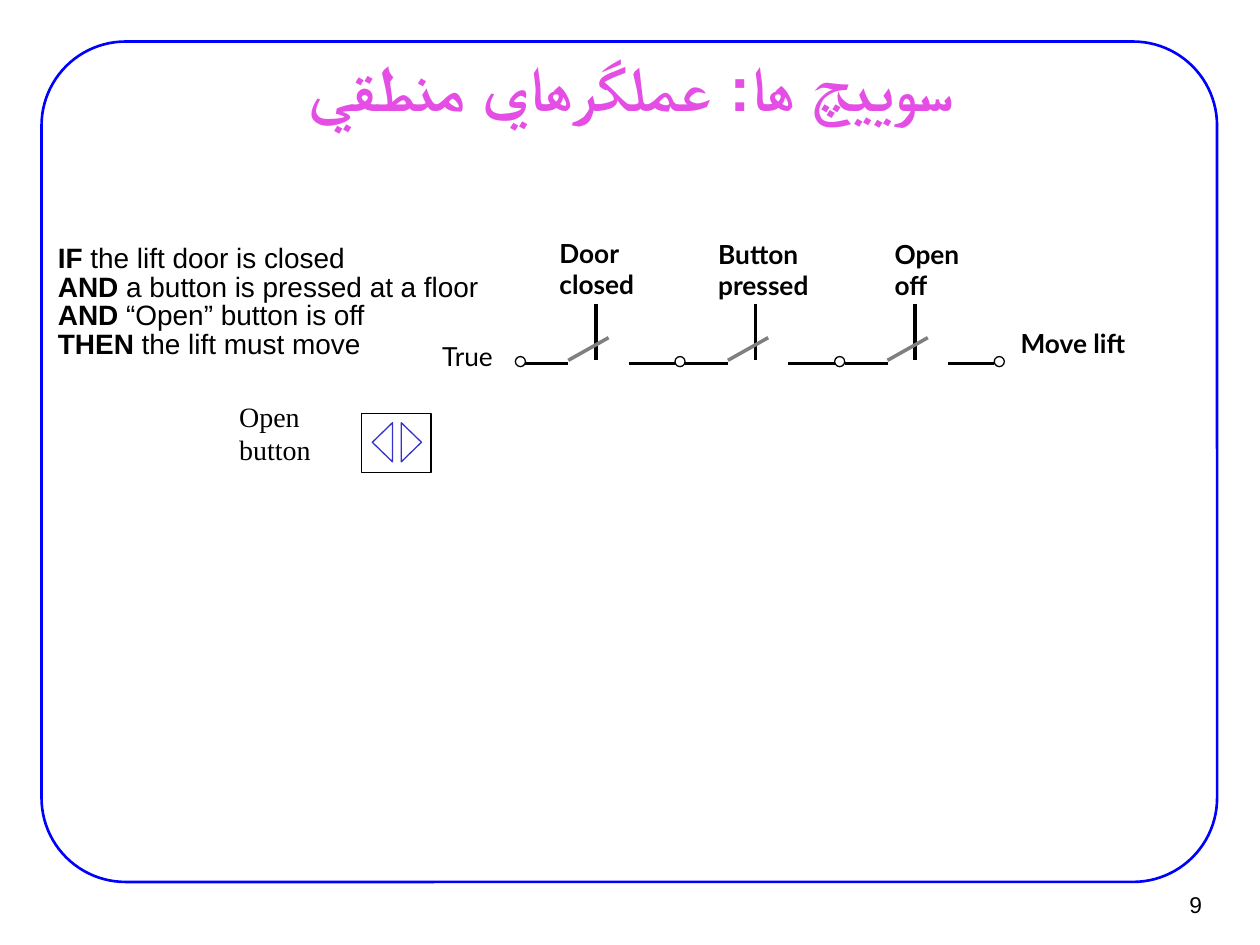
from lxml.etree import SubElement
from pptx import Presentation
from pptx.dml.color import RGBColor
from pptx.enum.shapes import MSO_CONNECTOR, MSO_SHAPE
from pptx.enum.text import MSO_ANCHOR, MSO_AUTO_SIZE, PP_ALIGN
from pptx.oxml.ns import qn
from pptx.util import Inches, Pt

BLACK = RGBColor(0x00, 0x00, 0x00)
WHITE = RGBColor(0xFF, 0xFF, 0xFF)
GRAY = RGBColor(0x7F, 0x7F, 0x7F)
BLUE = RGBColor(0x00, 0x00, 0xFF)
INDIGO = RGBColor(0x33, 0x33, 0xCC)
PINK = RGBColor(0xE4, 0x4E, 0xE4)

presentation = Presentation()
presentation.slide_width = Inches(10)
presentation.slide_height = Inches(7.5)
slide = presentation.slides.add_slide(presentation.slide_layouts[5])
CELL = presentation.slide_width / 100  # the slide is 100 columns by 75 rows


def grid(*cells):
    return [round(cell * CELL) for cell in cells]


def add_text(place, lines, font_name, size, wrap=False, margin=(0, 0)):
    """Add a text box; each line is a list of (text, bold) runs."""
    frame = slide.shapes.add_textbox(*grid(*place)).text_frame
    frame.word_wrap = wrap
    frame.auto_size = MSO_AUTO_SIZE.SHAPE_TO_FIT_TEXT
    frame.margin_left = frame.margin_right = Inches(margin[0])
    frame.margin_top = frame.margin_bottom = Inches(margin[1])
    for number, line in enumerate(lines):
        paragraph = frame.add_paragraph() if number else frame.paragraphs[0]
        for text, bold in line:
            run = paragraph.add_run()
            run.text = text
            run.font.bold = bold
        paragraph.font.name = font_name
        paragraph.font.size = Pt(size)
        paragraph.font.color.rgb = BLACK
    return frame


# Title
title = slide.shapes.title
title.left, title.top, title.width, title.height = grid(7.6, 4.4, 85, 4.9)
frame = title.text_frame
frame.text = "سوييچ ها: عملگرهاي منطقي"
frame.auto_size = MSO_AUTO_SIZE.NONE
frame.vertical_anchor = MSO_ANCHOR.MIDDLE
paragraph = frame.paragraphs[0]
paragraph.alignment = PP_ALIGN.CENTER
paragraph._p.get_or_add_pPr().set("rtl", "1")
font = paragraph.runs[0].font
font.name = "Arial"
font.size = Pt(36)
font.bold = True
font.color.rgb = PINK
SubElement(font._element, qn("a:cs")).set("typeface", "Arial")

# Slide number
frame = add_text((90.2, 69.9, 6.1, 3.7), [[("9", False)]], "Arial", 13,
                 wrap=True, margin=(0.09, 0.04))
frame.vertical_anchor = MSO_ANCHOR.MIDDLE
frame.paragraphs[0].alignment = PP_ALIGN.RIGHT

# Rule in words
rule = [
    [("IF", True), (" the lift door is closed", False)],
    [("AND", True), (" a button is pressed at a floor", False)],
    [("AND", True), (" “Open” button is off", False)],
    [("THEN", True), (" the lift must move", False)],
]
for paragraph in add_text((4.6, 19.5, 33.5, 9.1), rule, "Arial", 16).paragraphs:
    paragraph.line_spacing = 0.85

# Circuit labels
add_text((35.1, 27, 5.6, 3.1), [[("True", False)]], "Lato", 15)
add_text((81, 26, 8.5, 2.5), [[("Move lift", True)]], "Lato", 15)
add_text((18, 31.2, 8.6, 6.4), [[("Open button", False)]],
         "Times New Roman", 16, wrap=True, margin=(0.1, 0.05))

# Three switches in series: wires, levers and stems
FIRST_TERMINAL, PITCH = 40.9, 12.67
WIRE_ROW, CONTACT_ROW = 28.85, 28.6
switches = [
    (["Door", "closed"], 44.4, 18.8, 6.7),
    (["Button", "pressed"], 57, 18.9, 8.1),
    (["Open", "off"], 71, 18.9, 5.4),
]
for number, (words, label_left, label_top, label_width) in enumerate(switches):
    add_text((label_left, label_top, label_width, 5.1),
             [[(word, True)] for word in words], "Lato", 15)
    left = FIRST_TERMINAL + number * PITCH
    segments = [
        (left + 0.8, WIRE_ROW, left + 4.2, WIRE_ROW, BLACK),
        (left + 9, WIRE_ROW, left + PITCH, WIRE_ROW, BLACK),
        (left + 6.4, 24.1, left + 6.4, CONTACT_ROW, BLACK),
        (left + 4.2, CONTACT_ROW, left + 7.4, 26.8, GRAY),
    ]
    for *ends, color in segments:
        line = slide.shapes.add_connector(MSO_CONNECTOR.STRAIGHT, *grid(*ends))
        line.line.color.rgb = color
        line.line.width = Pt(0)
        SubElement(line._element.spPr, qn("a:effectLst"))

# Frame, terminals and the open button: kind, place, rotation, fill, line, width
shapes = [
    (MSO_SHAPE.ROUNDED_RECTANGLE, (3.3, 3.3, 93.3, 66.7), 0, None, BLUE, 1.5),
    (MSO_SHAPE.RECTANGLE, (28.7, 32.8, 5.5, 4.7), 0, None, BLACK, 0.75),
    (MSO_SHAPE.ISOSCELES_TRIANGLE, (31.1, 34.3, 3.1, 1.6), 90, None, INDIGO, 0.75),
    (MSO_SHAPE.ISOSCELES_TRIANGLE, (28.8, 34.3, 3.1, 1.6), 270, None, INDIGO, 0.75),
]
for number in range(len(switches) + 1):
    place = (FIRST_TERMINAL + number * PITCH, 28.3, 0.8, 0.8)
    shapes.append((MSO_SHAPE.OVAL, place, 0, WHITE, BLACK, 0))
for kind, place, rotation, fill, color, width in shapes:
    shape = slide.shapes.add_shape(kind, *grid(*place))
    shape.shadow.inherit = False
    shape.rotation = rotation
    if fill is None:
        shape.fill.background()
    else:
        shape.fill.solid()
        shape.fill.fore_color.rgb = fill
    shape.line.color.rgb = color
    shape.line.width = Pt(width)
    if kind == MSO_SHAPE.ROUNDED_RECTANGLE:
        shape.adjustments[0] = 0.1

presentation.save("out.pptx")
